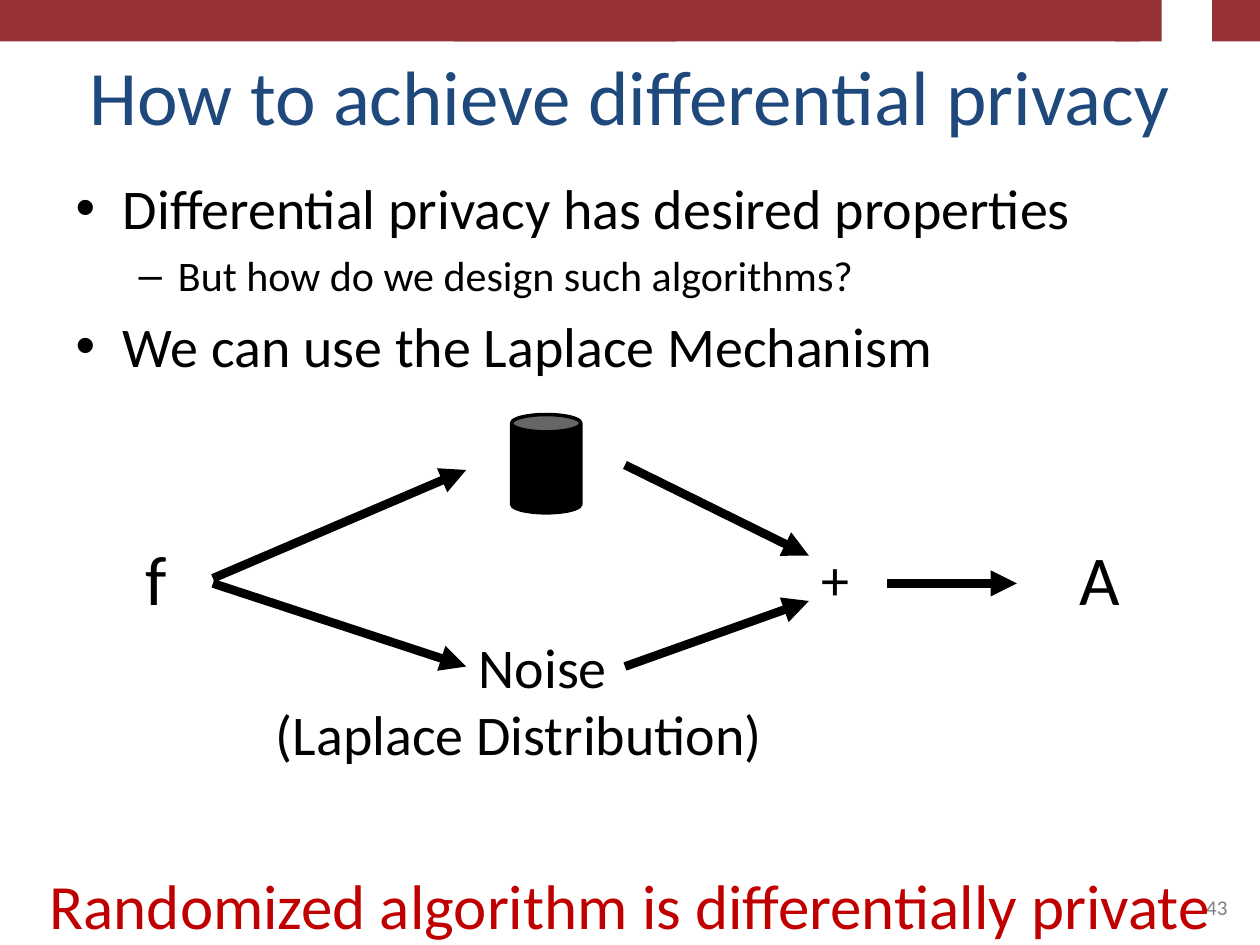
from dataclasses import dataclass

from lxml import etree
from pptx import Presentation
from pptx.dml.color import RGBColor
from pptx.enum.shapes import MSO_CONNECTOR, MSO_SHAPE
from pptx.enum.text import MSO_ANCHOR, MSO_AUTO_SIZE, PP_ALIGN
from pptx.oxml.ns import qn
from pptx.util import Inches, Pt

LINE = MSO_CONNECTOR.STRAIGHT
RECT, CAN = MSO_SHAPE.RECTANGLE, MSO_SHAPE.CAN
LEFT, CENTER, RIGHT = PP_ALIGN.LEFT, PP_ALIGN.CENTER, PP_ALIGN.RIGHT
TOP, BOTTOM = MSO_ANCHOR.TOP, MSO_ANCHOR.BOTTOM
FIXED = MSO_AUTO_SIZE.NONE


@dataclass(frozen=True)
class Theme:
    font: str = "Calibri"
    ink: str = "000000"
    band: str = "963237"
    title: str = "1F497D"
    accent: str = "C00000"
    muted: str = "808080"
    title_size: int = 44
    symbol_size: int = 40
    claim_size: int = 36
    text_size: int = 32
    sub_size: int = 24
    number_size: int = 12


class Deck:
    def __init__(self, theme):
        self.theme = theme
        self.file = Presentation()
        self.file.slide_width, self.file.slide_height = Inches(10), Inches(7.5)
        self.slide = self.file.slides.add_slide(self.file.slide_layouts[1])

    def style(self, part, size, color):
        part.font.name = self.theme.font
        part.font.size = Pt(size)
        part.font.color.rgb = RGBColor.from_string(color)

    def place(self, holder, box):
        holder.left, holder.top, holder.width, holder.height = map(Inches, box)
        holder.text_frame.auto_size = FIXED

    def title(self, text, box):
        holder = self.slide.shapes.title
        self.place(holder, box)
        holder.text_frame.vertical_anchor = BOTTOM
        para = holder.text_frame.paragraphs[0]
        para.text = text
        para.alignment = CENTER
        self.style(para, self.theme.title_size, self.theme.title)

    def bullets(self, items, box):
        """Fill the body with (level, text) items; bullets come from the template."""
        holder = self.slide.placeholders[1]
        self.place(holder, box)
        frame = holder.text_frame
        sizes = self.theme.text_size, self.theme.sub_size
        for i, (level, text) in enumerate(items):
            para = frame.add_paragraph() if i else frame.paragraphs[0]
            para.text = text
            para.level = level
            self.style(para, sizes[level], self.theme.ink)
        frame.paragraphs[0].space_before = Pt(0)

    def text(self, text, box, size, color=None, align=LEFT, anchor=TOP):
        frame = self.slide.shapes.add_textbox(*map(Inches, box)).text_frame
        frame.word_wrap = True
        frame.vertical_anchor = anchor
        para = frame.paragraphs[0]
        para.text = text
        para.alignment = align
        self.style(para, size, color or self.theme.ink)

    def shape(self, kind, box, fill, width=0):
        shape = self.slide.shapes.add_shape(kind, *map(Inches, box))
        shape.shadow.inherit = False
        shape.fill.solid()
        shape.fill.fore_color.rgb = RGBColor.from_string(fill)
        if width:
            shape.line.color.rgb = RGBColor.from_string(self.theme.ink)
            shape.line.width = Pt(width)
        else:
            shape.line.fill.background()

    def arrow(self, start, end):
        arrow = self.slide.shapes.add_connector(LINE, *map(Inches, start + end))
        arrow.line.color.rgb = RGBColor.from_string(self.theme.ink)
        arrow.line.width = Pt(5)
        etree.SubElement(arrow.line._get_or_add_ln(), qn("a:tailEnd"), type="triangle")
        etree.SubElement(arrow._element.spPr, qn("a:effectLst"))

    def save(self):
        self.file.save("out.pptx")


def main():
    theme = Theme()
    deck = Deck(theme)

    for left, width in ((8.85, 0.37), (9.62, 0.38), (0, 5.37), (3.6, 5.45)):
        deck.shape(RECT, (left, 0, width, 0.33), theme.band)
    deck.title("How to achieve differential privacy", (0, 0.3, 10, 0.87))
    deck.bullets([
        (0, "Differential privacy has desired properties"),
        (1, "But how do we design such algorithms?"),
        (0, "We can use the Laplace Mechanism"),
    ], (0.5, 1.33, 9, 1.79))
    deck.text("43", (7.17, 6.83, 2.67, 0.52), theme.number_size, theme.muted,
              RIGHT, BOTTOM)

    deck.shape(CAN, (4.06, 3.29, 0.55, 0.78), theme.ink, 2)
    for name, left in (("f", 1.06), ("A", 8.47)):
        deck.text(name, (left, 4.2, 0.39, 0.77), theme.symbol_size)
    for label, left, top, width in (
        ("Noise", 3.7, 4.97, 1.26),
        ("+", 6.42, 4.27, 0.39),
        ("(Laplace Distribution)", 2.09, 5.5, 4.49),
    ):
        deck.text(label, (left, top, width, 0.64), theme.text_size)

    for start, end in (
        ((1.69, 4.59), (3.7, 3.73)),
        ((1.69, 4.63), (3.7, 5.29)),
        ((4.96, 5.29), (6.42, 4.77)),
        ((4.96, 3.69), (6.42, 4.41)),
        ((7.04, 4.63), (8.07, 4.63)),
    ):
        deck.arrow(start, end)

    deck.text("Randomized algorithm is differentially private",
              (0, 6.83, 10, 0.71), theme.claim_size, theme.accent, CENTER)
    deck.save()


if __name__ == "__main__":
    main()
